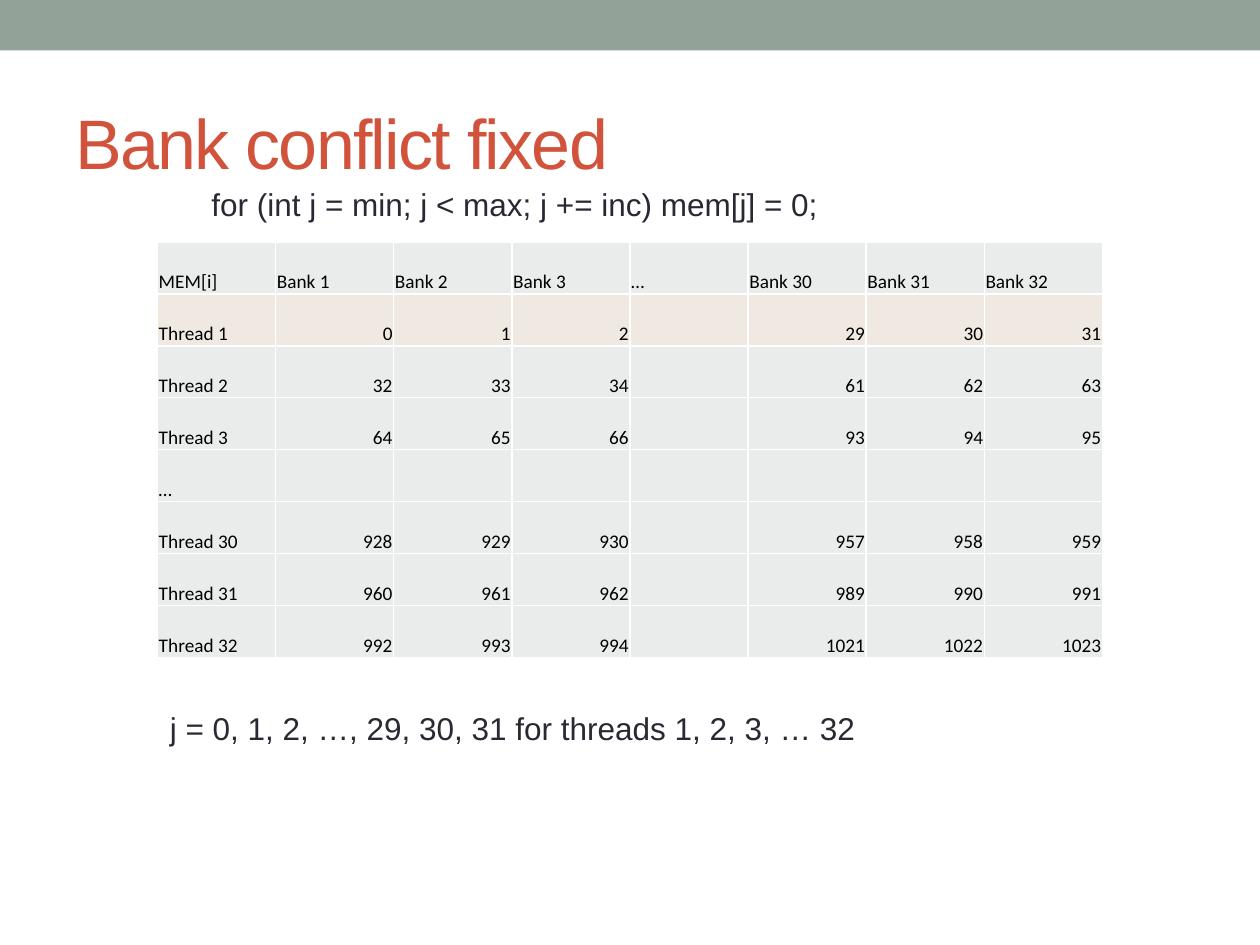
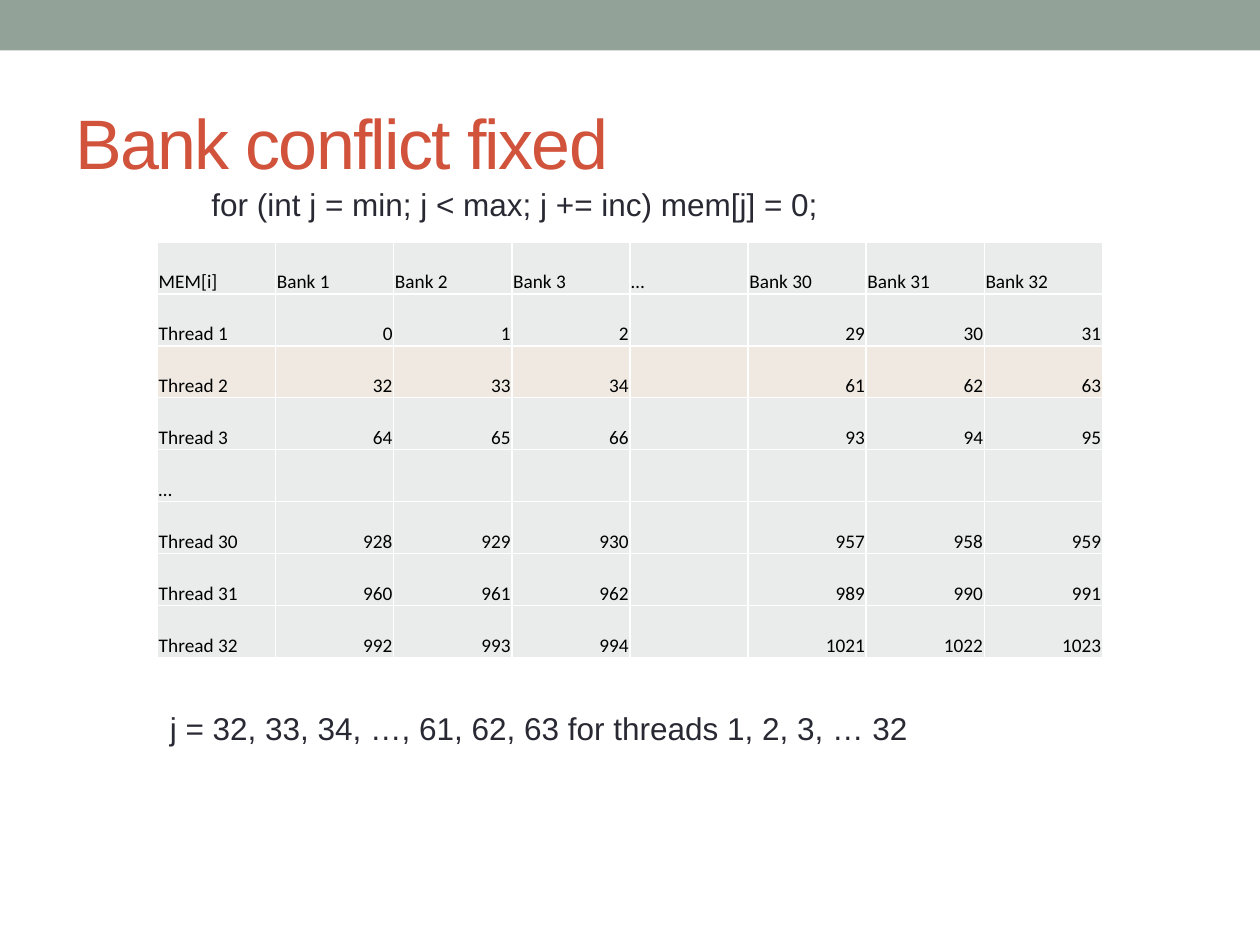
from lxml import etree
from pptx import Presentation
from pptx.dml.color import RGBColor
from pptx.enum.shapes import MSO_SHAPE
from pptx.enum.text import MSO_ANCHOR, MSO_AUTO_SIZE, PP_ALIGN
from pptx.oxml.ns import qn
from pptx.util import Inches, Pt

RECTANGLE = MSO_SHAPE.RECTANGLE
MIDDLE, BOTTOM = MSO_ANCHOR.MIDDLE, MSO_ANCHOR.BOTTOM
LEFT, RIGHT = PP_ALIGN.LEFT, PP_ALIGN.RIGHT
NO_AUTOFIT, GROW = MSO_AUTO_SIZE.NONE, MSO_AUTO_SIZE.SHAPE_TO_FIT_TEXT
TITLE_ONLY = 5

BANK_COUNT = 32
ELLIPSIS = "…"
SHOWN = [1, 2, 3, ELLIPSIS, 30, 31, 32]  # numbers of the banks and threads shown
LOOP_CODE = "for (int j = min; j < max; j += inc) mem[j] = 0;"


def rgb(hex_color):
    return RGBColor.from_string(hex_color)


def memory_index(thread, bank):
    """Index that a thread touches in a bank; blank in the elided row and column."""
    if ELLIPSIS in (thread, bank):
        return ""
    return str((thread - 1) * BANK_COUNT + bank - 1)


def label(word, number):
    return number if number == ELLIPSIS else f"{word} {number}"


class Deck:
    BAND, TITLE, TEXT = "93A299", "D2533C", "292934"
    CELL, HIGHLIGHT, BORDER, CELL_TEXT = "E9ECEB", "EFE9E1", "FFFFFF", "000000"
    FONT, TABLE_FONT = "Arial", "Calibri"

    def __init__(self):
        self.presentation = Presentation()
        self.presentation.slide_width = Inches(10)
        self.presentation.slide_height = Inches(7.5)
        self.slide = None

    def new_slide(self, title):
        layout = self.presentation.slide_layouts[TITLE_ONLY]
        self.slide = self.presentation.slides.add_slide(layout)
        self.band()
        self.title(title)

    def run(self, paragraph, text, size, color, font=FONT):
        run = paragraph.add_run()
        run.text = text
        run.font.size = Pt(size)
        run.font.name = font
        run.font.color.rgb = rgb(color)
        return run

    def band(self):
        shape = self.slide.shapes.add_shape(RECTANGLE, 0, 0, Inches(10), Inches(0.4))
        shape.shadow.inherit = False
        shape.fill.solid()
        shape.fill.fore_color.rgb = rgb(self.BAND)
        shape.line.fill.background()

    def title(self, text):
        shape = self.slide.shapes.title
        shape.left, shape.top = Inches(0.5), Inches(0.58)
        shape.width, shape.height = Inches(9), Inches(1.08)
        frame = shape.text_frame
        frame.auto_size = NO_AUTOFIT
        frame.vertical_anchor = MIDDLE
        paragraph = frame.paragraphs[0]
        paragraph.alignment = LEFT
        run = self.run(paragraph, text, 40, self.TITLE)
        run.font._element.set("spc", "-100")  # letter spacing of -1 pt

    def text(self, text, left, top, width, height=0.4):
        shape = self.slide.shapes.add_textbox(
            Inches(left), Inches(top), Inches(width), Inches(height))
        frame = shape.text_frame
        frame.word_wrap = True
        frame.auto_size = GROW
        self.run(frame.paragraphs[0], text, 18, self.TEXT)

    def cell_borders(self, cell):
        properties = cell._tc.get_or_add_tcPr()
        for side in ("a:lnL", "a:lnR", "a:lnT", "a:lnB"):
            line = etree.SubElement(properties, qn(side), w=str(Pt(1)))
            fill = etree.SubElement(line, qn("a:solidFill"))
            etree.SubElement(fill, qn("a:srgbClr"), val=self.BORDER)

    def cell(self, cell, text, fill, alignment):
        cell.margin_left = cell.margin_right = cell.margin_top = Inches(0.01)
        cell.margin_bottom = 0
        cell.vertical_anchor = BOTTOM
        self.cell_borders(cell)
        cell.fill.solid()
        cell.fill.fore_color.rgb = rgb(fill)
        if text:
            paragraph = cell.text_frame.paragraphs[0]
            paragraph.alignment = alignment
            self.run(paragraph, text, 11, self.CELL_TEXT, self.TABLE_FONT)

    def table(self, rows, highlighted_row, left, top, width, height):
        table = self.slide.shapes.add_table(
            len(rows), len(rows[0]),
            Inches(left), Inches(top), Inches(width), Inches(height)).table
        table.first_row = table.horz_banding = False
        for row, values in enumerate(rows):
            fill = self.HIGHLIGHT if row == highlighted_row else self.CELL
            for column, value in enumerate(values):
                alignment = RIGHT if row and column else LEFT
                self.cell(table.cell(row, column), value, fill, alignment)


def main():
    # Memory layout: one row per thread, one column per bank
    rows = [["MEM[i]"] + [label("Bank", bank) for bank in SHOWN]]
    for thread in SHOWN:
        rows.append([label("Thread", thread)]
                    + [memory_index(thread, bank) for bank in SHOWN])

    # One slide per loop step; each step touches one row
    deck = Deck()
    for step in (1, 2):
        indices = ", ".join(value or ELLIPSIS for value in rows[step][1:])
        deck.new_slide("Bank conflict fixed")
        deck.table(rows, step, 1.25, 1.92, 7.5, 3.3)
        deck.text(LOOP_CODE, 1.58, 1.42, 7)
        deck.text(f"j = {indices} for threads 1, 2, 3, … 32", 1.25, 5.58, 7.17)
    deck.presentation.save("out.pptx")


if __name__ == "__main__":
    main()
